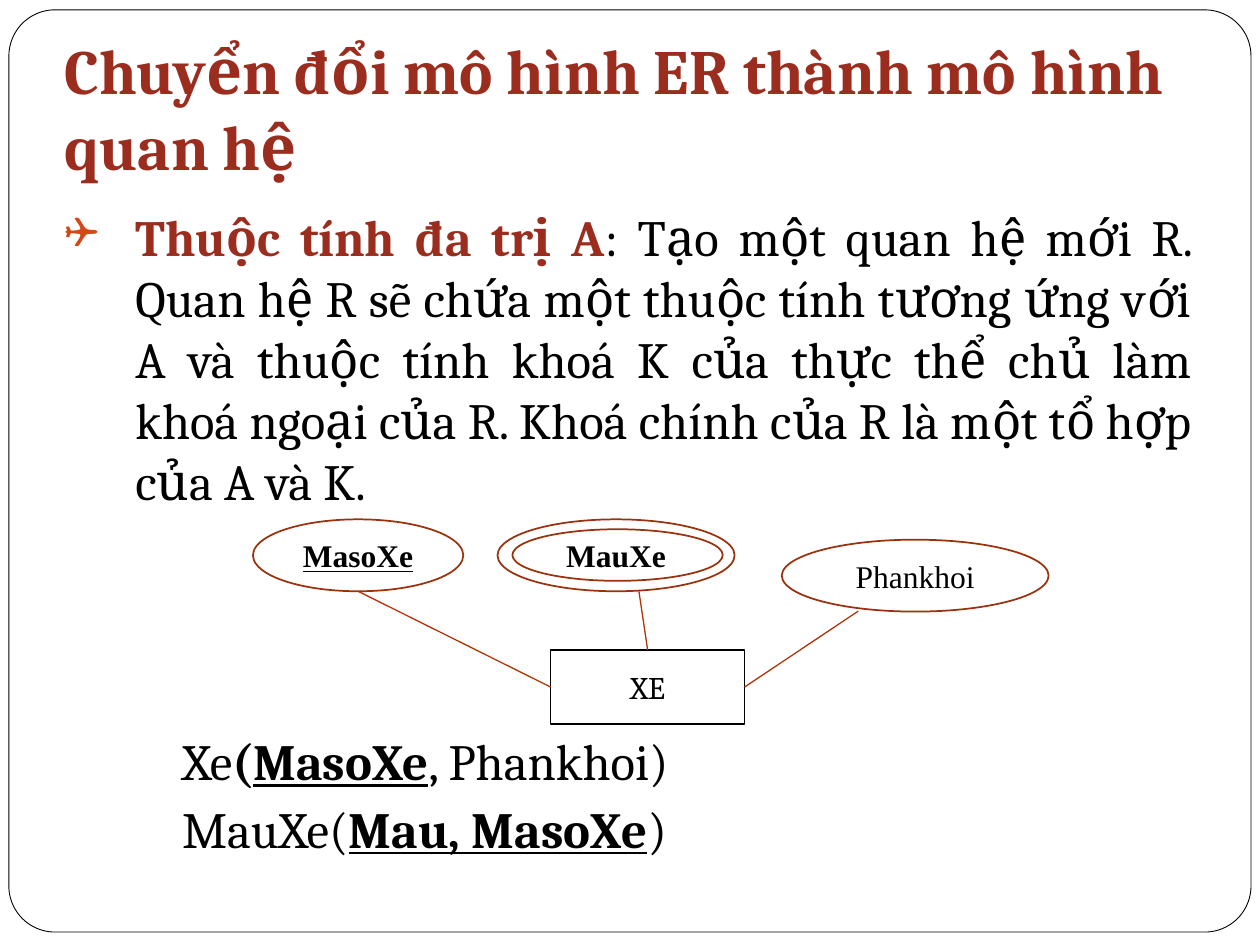
from lxml import etree
from pptx import Presentation
from pptx import util as u
from pptx.dml.color import RGBColor
from pptx.enum import shapes, text
from pptx.oxml.ns import qn

SERIF, ROMAN, SYMBOLS = "Cambria", "Times New Roman", "Wingdings"
BLACK, WHITE, RED, ORANGE = "000000", "FFFFFF", "9B2D1F", "D34817"
OVAL_LINE, LINK_LINE = "9B320E", "AF3408"
BOLD = {"bold": True}
KEY = {"bold": True, "underline": True}

# Paragraphs are lists of (text, font format) runs
TITLE = [[("Chuyển đổi mô hình ER thành mô hình quan hệ", {"bold": True, "color": RED})]]
RULE = [[
    ("Thuộc tính đa trị A", {"bold": True, "color": RED}),
    (": Tạo một quan hệ mới R. Quan hệ R sẽ chứa một thuộc tính tương ứng với A "
     "và thuộc tính khoá K của thực thể chủ làm khoá ngoại của R. "
     "Khoá chính của R là một tổ hợp của A và K.", {}),
]]
RELATIONS = [
    [("Xe", {}), ("(", BOLD), ("MasoXe", KEY), (", Phankhoi)", {})],
    [("MauXe(", {}), ("Mau, MasoXe", KEY), (")", {})],
]

# Ovals: label, font format, (left, top, width, height) in cm
OVALS = [
    ("MasoXe", KEY, (5.1, 10.47, 4.24, 1.45)),
    ("MauXe", BOLD, (10.03, 10.47, 4.78, 1.45)),
    ("", {}, (10.33, 10.67, 4.24, 1.04)),
    ("Phankhoi", {}, (15.76, 10.88, 5.38, 1.45)),
]
ENTITY = ("XE", {}, (11.1, 13.1, 3.91, 1.5))
# Links: start point in cm, connection site on the entity
LINKS = [((7.22, 11.92), 1), ((12.88, 11.92), 0), ((17.3, 12.32), 3)]


def rgb(value):
    return RGBColor.from_string(value)


def cm(values):
    return [u.Cm(v) for v in values]


def write(tf, paragraphs, size, font, align, before=0):
    """Fill a text frame with formatted runs."""
    tf.word_wrap = True
    for i, runs in enumerate(paragraphs):
        p = tf.paragraphs[0] if i == 0 else tf.add_paragraph()
        p.alignment, p.space_before = align, u.Pt(before)
        for content, look in runs:
            r = p.add_run()
            r.text = content
            look = {"name": font, "size": u.Pt(size), "color": BLACK} | look
            r.font.color.rgb = rgb(look.pop("color"))
            for key, value in look.items():
                setattr(r.font, key, value)


def indent(p, margin, first=0):
    pPr = p._p.get_or_add_pPr()
    pPr.set("marL", str(u.Cm(margin)))
    pPr.set("indent", str(u.Cm(first)))
    return pPr


def add_bullet(p, char, color, percent):
    pPr = indent(p, 1.43, -1.43)
    clr = etree.SubElement(pPr, qn("a:buClr"))
    etree.SubElement(clr, qn("a:srgbClr"), val=color)
    etree.SubElement(pPr, qn("a:buSzPct"), val=str(percent * 1000))
    etree.SubElement(pPr, qn("a:buFont"), typeface=SYMBOLS, charset="2")
    etree.SubElement(pPr, qn("a:buChar"), char=char)


def add_text(s, box, *args):
    tf = s.shapes.add_textbox(*cm(box)).text_frame
    write(tf, *args)
    return tf


def add_figure(s, kind, box, fill, line, weight):
    sp = s.shapes.add_shape(kind, *cm(box))
    sp.shadow.inherit = False
    if fill:
        sp.fill.solid()
        sp.fill.fore_color.rgb = rgb(fill)
    else:
        sp.fill.background()
    sp.line.color.rgb, sp.line.width = rgb(line), u.Pt(weight)
    return sp


def add_node(s, kind, node, font, fill, line):
    label, look, box = node
    sp = add_figure(s, kind, box, fill, line, 1)
    if label:
        sp.text_frame.vertical_anchor = text.MSO_ANCHOR.MIDDLE
        write(sp.text_frame, [[(label, look)]], 18, font, text.PP_ALIGN.CENTER)
    return sp


def add_link(s, start, entity, site):
    x, y = cm(start)
    c = s.shapes.add_connector(shapes.MSO_CONNECTOR.STRAIGHT, x, y, x, y)
    c.end_connect(entity, site)
    c.line.color.rgb, c.line.width = rgb(LINK_LINE), u.Pt(0.75)
    etree.SubElement(c._element.spPr, qn("a:effectLst"))


def main():
    prs = Presentation()
    prs.slide_width, prs.slide_height = u.Cm(25.4), u.Cm(19.05)
    s = prs.slides.add_slide(prs.slide_layouts[6])
    kinds = shapes.MSO_SHAPE

    frame = add_figure(s, kinds.ROUNDED_RECTANGLE, (0.18, 0.2, 25.04, 18.59), WHITE, BLACK, 0.5)
    frame.adjustments[0] = 0.05

    tf = add_text(s, (1.05, 0.76, 23.29, 3.18), TITLE, 36, SERIF, text.PP_ALIGN.LEFT)
    tf.vertical_anchor, tf.margin_bottom = text.MSO_ANCHOR.BOTTOM, u.Cm(0.25)

    justify = text.PP_ALIGN.JUSTIFY
    tf = add_text(s, (1.05, 4.03, 23.24, 6.4), RULE, 29, SERIF, justify, 5.8)
    add_bullet(tf.paragraphs[0], "❑", ORANGE, 85)
    tf = add_text(s, (1.05, 14.59, 23.24, 3.2), RELATIONS, 29, SERIF, justify, 3.7)
    for p in tf.paragraphs:
        indent(p, 2.37)

    entity = add_node(s, kinds.RECTANGLE, ENTITY, SERIF, WHITE, BLACK)
    for node in OVALS:
        add_node(s, kinds.OVAL, node, ROMAN, None, OVAL_LINE)
    for start, site in LINKS:
        add_link(s, start, entity, site)

    prs.save("out.pptx")


if __name__ == "__main__":
    main()
